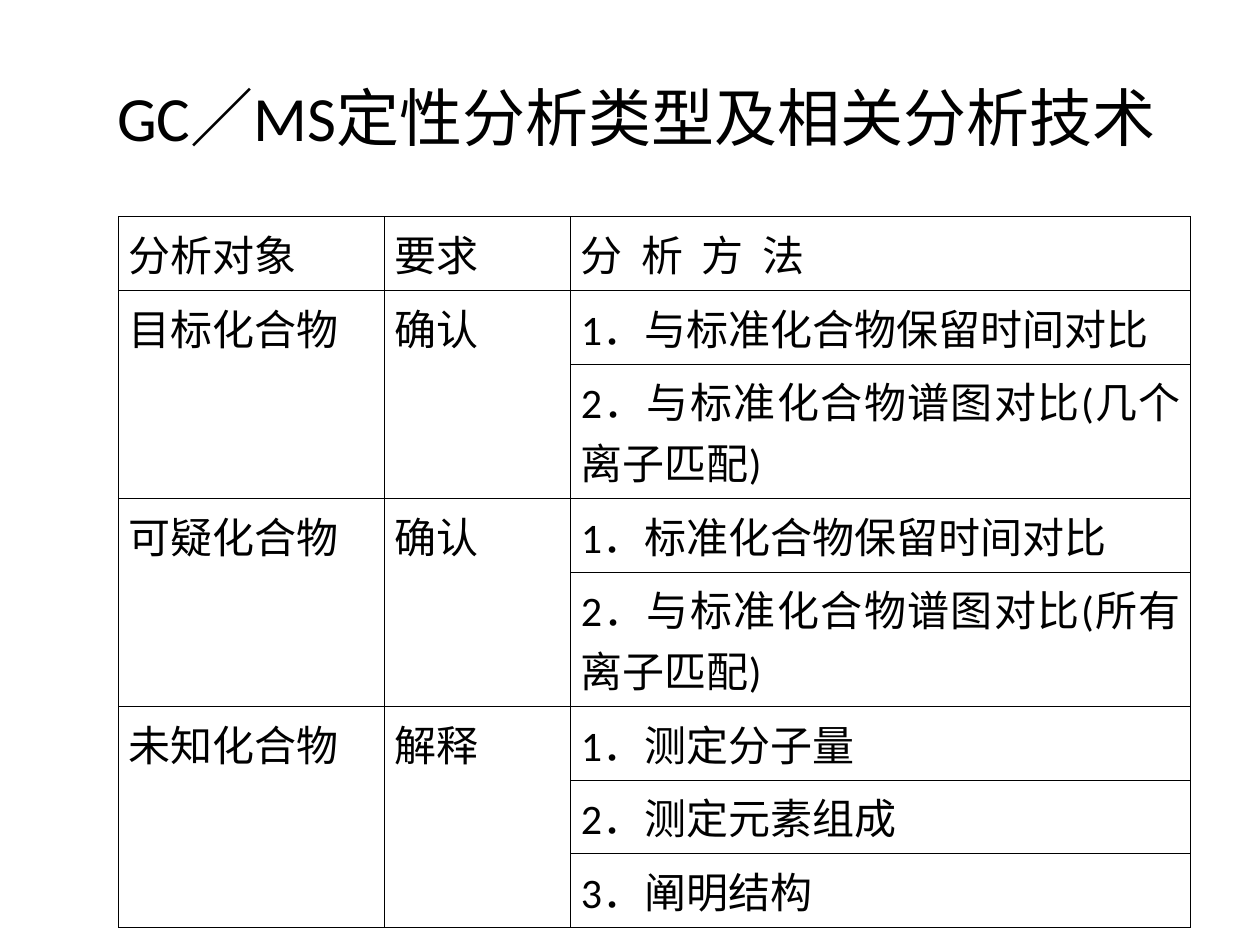
import pptx
import pptx.dml.color
import pptx.enum.text
import pptx.oxml
import pptx.oxml.ns
import pptx.util

Inches = pptx.util.Inches
Pt = pptx.util.Pt
PP_ALIGN = pptx.enum.text.PP_ALIGN
MSO_ANCHOR = pptx.enum.text.MSO_ANCHOR
BLACK = pptx.dml.color.RGBColor(0, 0, 0)

HEADERS = ["分析对象", "要求", "分 析 方 法"]
GROUPS = [
    ("目标化合物", "确认", ["1．与标准化合物保留时间对比", "2．与标准化合物谱图对比(几个离子匹配)"]),
    ("可疑化合物", "确认", ["1．标准化合物保留时间对比", "2．与标准化合物谱图对比(所有离子匹配)"]),
    ("未知化合物", "解释", ["1．测定分子量", "2．测定元素组成", "3．阐明结构"]),
]
COL_WIDTHS = [2.11, 1.48, 4.92]
ROW_HEIGHTS = [0.4, 0.4, 0.8, 0.4, 0.8, 0.4, 0.4, 0.4]


class SlideBuilder:
    """Holds the text and border style together with the current slide."""

    font = "Calibri"
    color = BLACK
    border = Pt(0.45)

    def __init__(self, prs):
        self.s = prs.slides.add_slide(prs.slide_layouts[5])

    def format_text(self, tf, size, align):
        for p in tf.paragraphs:
            p.alignment = align
            for r in p.runs:
                r.font.name = self.font
                r.font.size = Pt(size)
                r.font.color.rgb = self.color

    def title(self, text, left, top, width, height):
        sp = self.s.shapes.title
        sp.left, sp.top = Inches(left), Inches(top)
        sp.width, sp.height = Inches(width), Inches(height)
        tf = sp.text_frame
        tf.text = text
        tf.word_wrap = True
        tf.auto_size = pptx.enum.text.MSO_AUTO_SIZE.NONE
        tf.vertical_anchor = MSO_ANCHOR.MIDDLE
        tf.margin_left, tf.margin_right = Inches(0.2), Inches(0.1)
        self.format_text(tf, 36, PP_ALIGN.CENTER)

    def cell_borders(self, cell):
        tc_pr = cell._tc.get_or_add_tcPr()
        for i, side in enumerate(("lnL", "lnR", "lnT", "lnB")):
            tc_pr.insert(i, pptx.oxml.parse_xml(
                f'<a:{side} {pptx.oxml.ns.nsdecls("a")} w="{self.border}">'
                f'<a:solidFill><a:srgbClr val="{self.color}"/></a:solidFill></a:{side}>'))

    def table(self, left, top, widths, heights):
        frame = self.s.shapes.add_table(
            len(heights), len(widths), Inches(left), Inches(top),
            Inches(sum(widths)), Inches(sum(heights)))
        tbl = frame.table
        tbl.first_row = tbl.horz_banding = False
        for col, width in zip(tbl.columns, widths):
            col.width = Inches(width)
        for row, height in zip(tbl.rows, heights):
            row.height = Inches(height)
        for cell in tbl.iter_cells():
            cell.fill.background()
            cell.margin_left = cell.margin_right = Inches(0.08)
            self.cell_borders(cell)
        return tbl

    def cell_text(self, cell, text):
        cell.text = text
        self.format_text(cell.text_frame, 24, PP_ALIGN.JUSTIFY)


def main():
    prs = pptx.Presentation()
    prs.slide_width, prs.slide_height = Inches(10), Inches(7.5)
    b = SlideBuilder(prs)
    b.title("GC／MS定性分析类型及相关分析技术", 0.5, 0.3, 9, 1.25)
    tbl = b.table(0.94, 1.72, COL_WIDTHS, ROW_HEIGHTS)
    for col, text in enumerate(HEADERS):
        b.cell_text(tbl.cell(0, col), text)
    r = tbl.cell(0, 2).text_frame.paragraphs[0].runs[0]
    r.font._element.set("spc", "260")

    row = 1
    for target, demand, methods in GROUPS:
        last = row + len(methods) - 1
        for col, text in enumerate((target, demand)):
            tbl.cell(row, col).merge(tbl.cell(last, col))
            b.cell_text(tbl.cell(row, col), text)
        for i, method in enumerate(methods):
            b.cell_text(tbl.cell(row + i, 2), method)
        row = last + 1
    prs.save("out.pptx")


if __name__ == "__main__":
    main()
